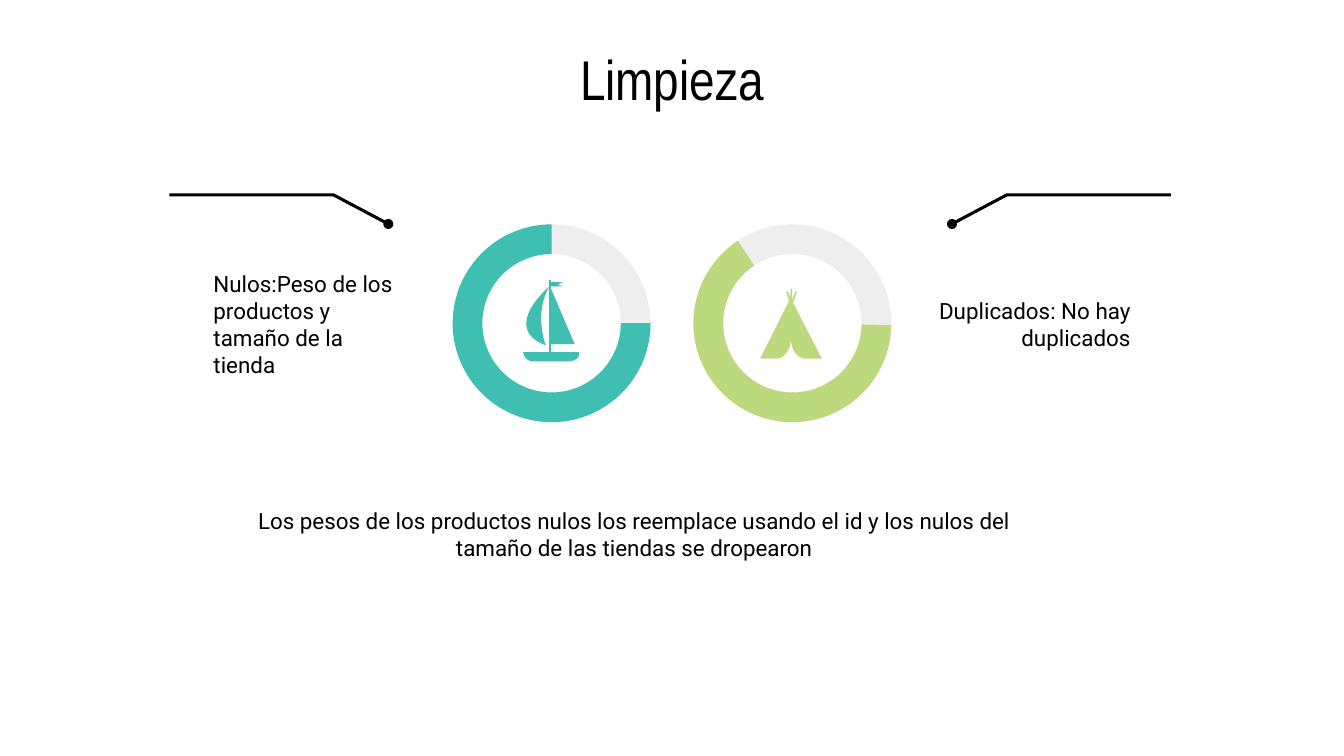
from pptx import Presentation
from pptx.dml.color import RGBColor
from pptx.enum.shapes import MSO_SHAPE
from pptx.enum.text import MSO_ANCHOR, PP_ALIGN
from pptx.util import Pt

DONUT, ARC, OVAL = MSO_SHAPE.DONUT, MSO_SHAPE.BLOCK_ARC, MSO_SHAPE.OVAL
LEFT, CENTER, RIGHT = PP_ALIGN.LEFT, PP_ALIGN.CENTER, PP_ALIGN.RIGHT
MIDDLE = MSO_ANCHOR.MIDDLE
TITLE_ONLY = 5
BLACK, TRACK, TEAL, GREEN = "000000", "EEEEEE", "3FBFB2", "BCD97E"
RING_Y, RING_SIZE, RING_WIDTH = 173.2, 106, 0.15

JIB = [(-0.8, -19.8), (-0.8, 11.2), (12.4, 11.2)]
MAINSAIL = [(-1.1, -19.8), (-1.1, -19.8, -27.7, 2.5, -3.2, 11.9),
            (-3.2, 11.2, -9.7, -5.4, -1.1, -19.8)]
MAST = [(-1.6, -23.4), (-1.6, 15.5), (-0.4, 15.5), (-0.4, -23.4)]
HULL = [(-15.2, 15.5), (-14.8, 19.8, -10.4, 20.5, -10.4, 20.5), (7.6, 20.5),
        (16.2, 20.5, 14.8, 15.5, 14.8, 15.5)]
FLAG = [(-1, -22), (-1, -19.8), (6.1, -19.8), (3.2, -20.7), (6.1, -22)]
BOAT = [JIB, MAINSAIL, MAST, HULL, FLAG]
TENT = [[(-1.1, -18.4), (-1.1, -14), (-2.5, -17.2), (-3.2, -16.7), (-1.8, -11.9),
         (-17.3, 19), (-7.4, 19), (-7.4, 19, -0.8, 17, -0.8, 8.3),
         (-0.8, 10.5, 0.4, 19, 7.5, 19), (15.8, 19), (0.4, -11),
         (2.5, -16.8), (1.7, -17.2), (-0.2, -12.6), (-0.2, -18.4)]]


def color(value):
    """Turn a hex string into a colour."""
    return RGBColor.from_string(value)


def flatten(outline, steps=16):
    """Expand corner points and cubic curves into plain points."""
    points = []
    for part in outline:
        if len(part) == 2:
            points.append(part)
            continue
        ax, ay = points[-1]
        bx, by, cx, cy, dx, dy = part
        for step in range(1, steps + 1):
            t = step / steps
            u = 1 - t
            points.append((
                u**3 * ax + 3 * u * u * t * bx + 3 * u * t * t * cx + t**3 * dx,
                u**3 * ay + 3 * u * u * t * by + 3 * u * t * t * cy + t**3 * dy))
    return points


class Deck:
    """Style and current slide, with one method per kind of element."""

    def __init__(self, width, height):
        """Start a deck with one slide."""
        self.presentation = Presentation()
        self.presentation.slide_width = Pt(width)
        self.presentation.slide_height = Pt(height)
        layout = self.presentation.slide_layouts[TITLE_ONLY]
        self.slide = self.presentation.slides.add_slide(layout)
        self.shapes = self.slide.shapes

    def set_text(self, holder, words, font, size, align):
        """Fill a text holder in one style."""
        frame = holder.text_frame
        frame.text = words
        frame.word_wrap = True
        frame.vertical_anchor = MIDDLE
        frame.margin_left = frame.margin_right = Pt(7.2)
        frame.margin_top = frame.margin_bottom = Pt(7.2)
        paragraph = frame.paragraphs[0]
        paragraph.alignment = align
        for run in paragraph.runs:
            run.font.name = font
            run.font.size = Pt(size)
            run.font.color.rgb = color(BLACK)

    def title(self, words, left, top, width, height):
        """Place the slide title."""
        heading = self.shapes.title
        heading.left, heading.top = Pt(left), Pt(top)
        heading.width, heading.height = Pt(width), Pt(height)
        self.set_text(heading, words, "Arial Narrow", 30, CENTER)

    def note(self, words, left, top, width, height, align):
        """Add a block of running text."""
        box = self.shapes.add_textbox(Pt(left), Pt(top), Pt(width), Pt(height))
        self.set_text(box, words, "Roboto", 12, align)

    def paint(self, shape, fill):
        """Give a shape a flat fill without line or shadow."""
        shape.shadow.inherit = False
        shape.fill.solid()
        shape.fill.fore_color.rgb = color(fill)
        shape.line.fill.background()

    def disc(self, kind, x, y, size, fill, adjustments=()):
        """Add a round preset shape about a centre."""
        shape = self.shapes.add_shape(
            kind, Pt(x - size / 2), Pt(y - size / 2), Pt(size), Pt(size))
        for index, value in enumerate(adjustments):
            shape.adjustments[index] = value
        self.paint(shape, fill)

    def freeform(self, points, close):
        """Build a freeform through points."""
        first, *rest = [(Pt(x), Pt(y)) for x, y in points]
        builder = self.shapes.build_freeform(*first)
        builder.add_line_segments(rest, close=close)
        return builder.convert_to_shape()

    def gauge(self, x, start, end, fill, icon):
        """Add a ring with a coloured arc, in degrees, and an icon inside."""
        self.disc(DONUT, x, RING_Y, RING_SIZE, TRACK, [RING_WIDTH])
        self.disc(ARC, x, RING_Y, RING_SIZE, fill,
                  [start * 0.6, end * 0.6, RING_WIDTH])
        for outline in icon:
            points = [(x + dx, RING_Y + dy) for dx, dy in flatten(outline)]
            self.paint(self.freeform(points, True), fill)

    def pointer(self, x, y, direction):
        """Add a bent line that leaves a dot to one side."""
        bend, reach, rise = 29.4 * direction, 117.2 * direction, 15.6
        line = self.freeform(
            [(x, y), (x + bend, y - rise), (x + reach, y - rise)], False)
        line.shadow.inherit = False
        line.fill.background()
        line.line.color.rgb = color(BLACK)
        line.line.width = Pt(1.64)
        self.disc(OVAL, x, y, 5.4, BLACK)


def main():
    """Build the slide and save it."""
    deck = Deck(720, 405)
    deck.title("Limpieza", 100.8, 23, 518.4, 38.2)
    deck.gauge(424.5, 1, 236.5, GREEN, TENT)
    deck.gauge(295.5, 0, 270, TEAL, BOAT)
    deck.pointer(510, 120, 1)
    deck.pointer(208, 120, -1)
    deck.note("Nulos:Peso de los productos y tamaño de la tienda",
              107.3, 139, 117.4, 69.1, LEFT)
    deck.note("Los pesos de los productos nulos los reemplace usando el id y los "
              "nulos del tamaño de las tiendas se dropearon",
              122.4, 250.6, 434.9, 70.6, CENTER)
    deck.note("Duplicados: No hay duplicados", 495.4, 139, 117.4, 69.1, RIGHT)
    deck.presentation.save("out.pptx")


if __name__ == "__main__":
    main()
